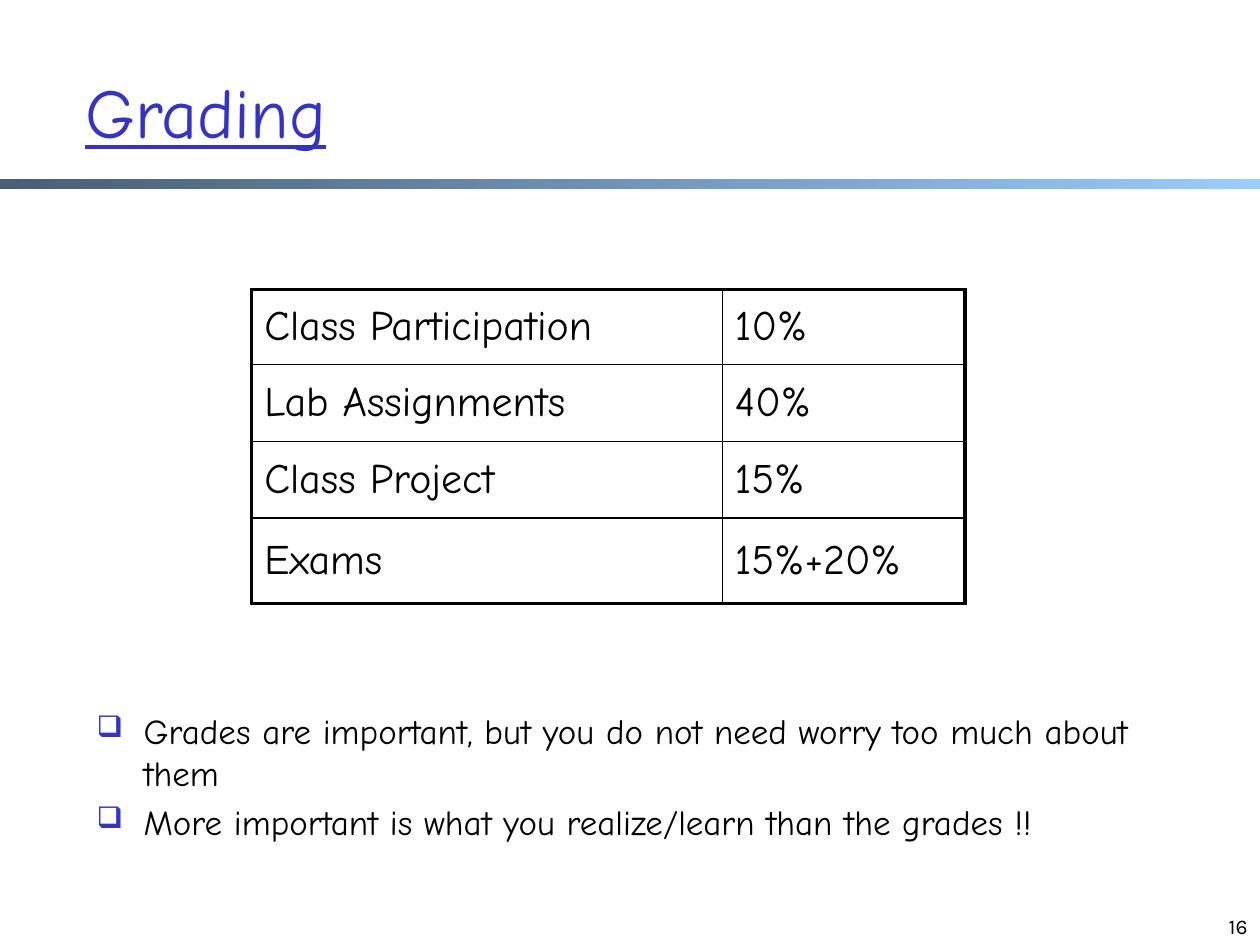
from lxml import etree
from pptx import Presentation
from pptx import util as u
from pptx.dml.color import RGBColor
from pptx.enum import shapes, text
from pptx.oxml import ns

BLUE = RGBColor(0x33, 0x33, 0xCC)
BLACK = RGBColor(0, 0, 0)
SLATE = RGBColor(0x47, 0x5E, 0x76)
SKY = RGBColor(0x99, 0xCC, 0xFF)


def write(para, words, size=20, color=BLACK, face="Comic Neue",
          align=text.PP_ALIGN.LEFT, underline=False, before=0):
    para.alignment = align
    para.space_before = u.Pt(before)
    span = para.add_run()
    span.text = words
    span.font.size = u.Pt(size)
    span.font.name = face
    span.font.color.rgb = color
    span.font.underline = underline


def add_xml(parent, tag, **attributes):
    return etree.SubElement(parent, ns.qn(tag), attributes)


deck = Presentation()
deck.slide_width, deck.slide_height = u.Cm(25.43), u.Cm(19.08)
page = deck.slides.add_slide(deck.slide_layouts[5])

# Gradient rule below the title
rule = page.shapes.add_shape(shapes.MSO_SHAPE.RECTANGLE, 0, u.Cm(3.61),
                             deck.slide_width, u.Cm(0.21))
rule.shadow.inherit = False
rule.line.fill.background()
rule.fill.gradient()
rule.fill.gradient_angle = 0
for stop, color in zip(rule.fill.gradient_stops, (SLATE, SKY)):
    stop.color.rgb = color

# Title
title = page.shapes.title
title.left, title.top = u.Cm(1.47), u.Cm(0.64)
title.width, title.height = u.Cm(21.62), u.Cm(3.18)
title.text_frame.vertical_anchor = text.MSO_ANCHOR.MIDDLE
write(title.text_frame.paragraphs[0], "Grading", size=40, color=BLUE,
      underline=True)

# Grading table: thick frame, thin inner lines
grades = [("Class Participation", "10%"), ("Lab Assignments", "40%"),
          ("Class Project", "15%"), ("Exams", "15%+20%")]
widths = [9.5, 4.9]
heights = [1.52, 1.55, 1.55, 1.73]
table = page.shapes.add_table(len(heights), len(widths), u.Cm(5.08), u.Cm(5.84),
                              u.Cm(sum(widths)), u.Cm(sum(heights))).table
table.first_row = table.horz_banding = False
for column, width in zip(table.columns, widths):
    column.width = u.Cm(width)
for row, height in zip(table.rows, heights):
    row.height = u.Cm(height)
for r, values in enumerate(grades):
    for c, value in enumerate(values):
        cell = table.cell(r, c)
        cell.vertical_anchor = text.MSO_ANCHOR.MIDDLE
        write(cell.text_frame.paragraphs[0], value, size=24)
        borders = cell._tc.get_or_add_tcPr()
        outer = {"a:lnL": c == 0, "a:lnR": c == len(widths) - 1,
                 "a:lnT": r == 0, "a:lnB": r == len(heights) - 1}
        for side, thick in outer.items():
            line = add_xml(borders, side, w=str(u.Pt(2.25 if thick else 1)))
            add_xml(add_xml(line, "a:solidFill"), "a:srgbClr", val=str(BLACK))
        cell.fill.background()

# Bulleted remarks
remarks = ["Grades are important, but you do not need worry too much about them",
           "More important is what you realize/learn than the grades !!"]
box = page.shapes.add_textbox(u.Cm(1.7), u.Cm(14.2), u.Cm(21.39), u.Cm(4.24))
box.text_frame.word_wrap = True
for i, remark in enumerate(remarks):
    para = box.text_frame.add_paragraph() if i else box.text_frame.paragraphs[0]
    write(para, remark, before=4 if i else 0)
    layout = para._p.get_or_add_pPr()
    layout.set("marL", str(u.Cm(0.95)))
    layout.set("indent", str(-u.Cm(0.95)))
    add_xml(add_xml(layout, "a:buClr"), "a:srgbClr", val=str(BLUE))
    add_xml(layout, "a:buSzPct", val="85000")
    add_xml(layout, "a:buChar", char="❑")

# Page number
number = page.shapes.add_textbox(u.Cm(19.51), u.Cm(17.81), u.Cm(5.92), u.Cm(1.27))
number.text_frame.word_wrap = True
number.text_frame.vertical_anchor = text.MSO_ANCHOR.BOTTOM
write(number.text_frame.paragraphs[0], "16", size=12, face="Karla",
      align=text.PP_ALIGN.RIGHT)

deck.save("out.pptx")
